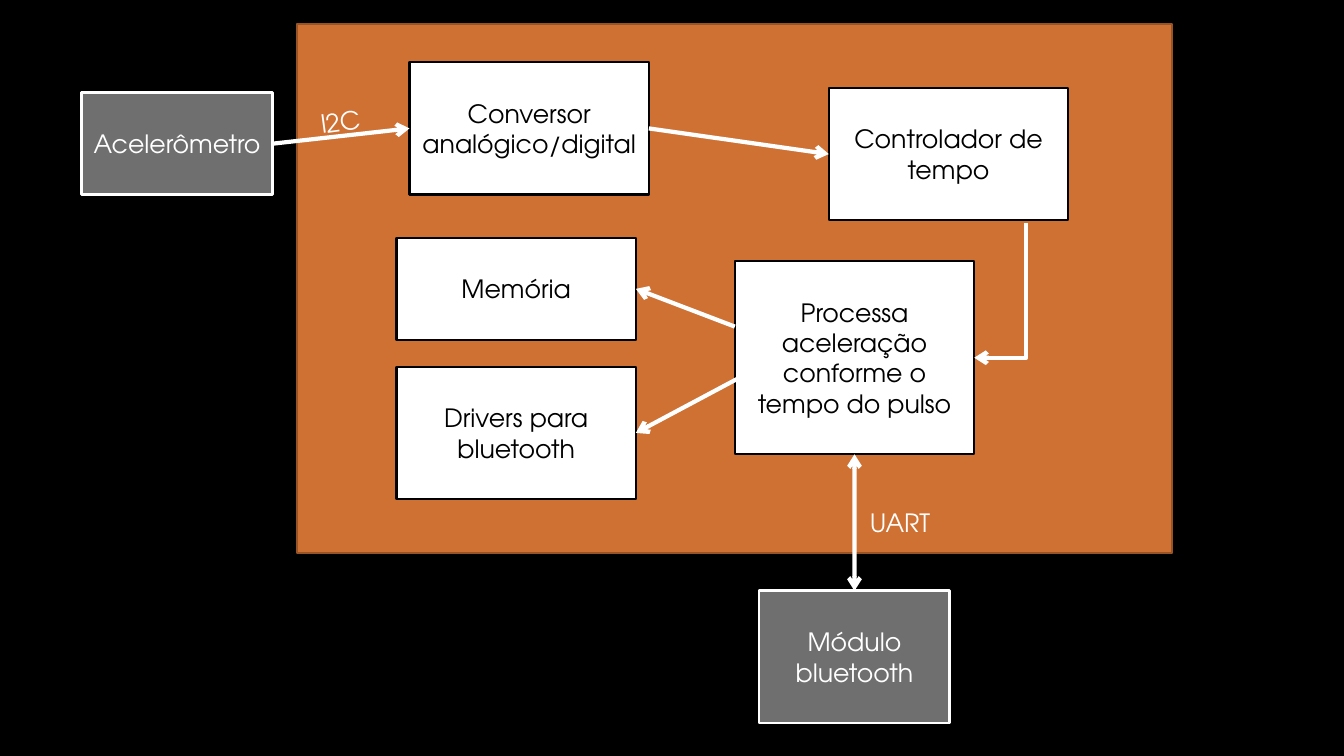
from dataclasses import dataclass

from lxml.etree import SubElement
from pptx import Presentation
from pptx.dml.color import RGBColor
from pptx.enum.shapes import MSO_CONNECTOR, MSO_SHAPE
from pptx.enum.text import MSO_ANCHOR, PP_ALIGN
from pptx.oxml.ns import qn
from pptx.shapes.autoshape import Shape
from pptx.shapes.connector import Connector
from pptx.slide import Slide
from pptx.util import Pt

FONT = "TeX Gyre Adventor"
HEX = {"black": "000000", "white": "FFFFFF", "grey": "6F6F6F", "orange": "CF7133", "brown": "995426"}


@dataclass(frozen=True)
class Style:
    """Fill, outline and text look of a box."""
    fill: str
    line: str
    width: float
    ink: str


@dataclass(frozen=True)
class Box:
    """A rectangle with a centred caption."""
    text: str
    x: float
    y: float
    w: float
    h: float
    style: Style


@dataclass(frozen=True)
class Arrow:
    """A straight arrow; a site of None leaves that end free at its point."""
    start: str
    out: int | None
    end: str
    into: int | None
    at: tuple[float, float] = (0, 0)
    both: bool = False


@dataclass(frozen=True)
class Label:
    """A free caption, turned by some degrees."""
    text: str
    x: float
    y: float
    turn: float = 0


PANEL = Style("orange", "brown", 1.5, "white")
OUTER = Style("grey", "white", 2, "white")
INNER = Style("white", "black", 1.5, "black")

BOXES = {
    "panel": Box("", 212.4, 17.3, 625, 378, PANEL),
    "sensor": Box("Acelerômetro", 58.3, 66.3, 136.3, 72.7, OUTER),
    "module": Box("Módulo bluetooth", 542.2, 422, 136.3, 94.5, OUTER),
    "adc": Box("Conversor analógico/digital", 292.5, 44.5, 171, 94.5, INNER),
    "timer": Box("Controlador de tempo", 592, 62.8, 171, 94.5, INNER),
    "memory": Box("Memória", 283.2, 170, 171, 72.7, INNER),
    "process": Box("Processa aceleração conforme o tempo do pulso", 524.9, 186.5, 171, 138, INNER),
    "drivers": Box("Drivers para bluetooth", 283.2, 262, 171, 94.5, INNER),
}
ARROWS = [
    Arrow("sensor", 3, "adc", 1),
    Arrow("adc", 3, "timer", 1),
    Arrow("process", None, "memory", 3, (524.9, 233.3)),
    Arrow("process", None, "drivers", 3, (527.8, 270)),
    Arrow("process", 2, "module", 0, both=True),
]
LABELS = [Label("I2C", 192.2, 72, -7.8), Label("UART", 591.8, 358.6)]


def tint(name: str) -> RGBColor:
    """Return the named colour."""
    return RGBColor.from_string(HEX[name])


def write(shape: Shape, text: str, ink: str) -> None:
    """Put centred, wrapped text into a shape."""
    frame = shape.text_frame
    frame.word_wrap = True
    frame.vertical_anchor = MSO_ANCHOR.MIDDLE
    frame.text = text
    para = frame.paragraphs[0]
    para.alignment = PP_ALIGN.CENTER
    para.font.name = FONT
    para.font.size = Pt(18)
    para.font.color.rgb = tint(ink)


def draw_box(slide: Slide, box: Box) -> Shape:
    """Draw one box and return its shape."""
    shape = slide.shapes.add_shape(MSO_SHAPE.RECTANGLE, Pt(box.x), Pt(box.y), Pt(box.w), Pt(box.h))
    shape.shadow.inherit = False
    shape.fill.solid()
    shape.fill.fore_color.rgb = tint(box.style.fill)
    shape.line.color.rgb = tint(box.style.line)
    shape.line.width = Pt(box.style.width)
    if box.text:
        write(shape, box.text, box.style.ink)
    return shape


def dress(link: Connector, both: bool = False) -> None:
    """Give a connector its white stroke and open arrowheads."""
    link.line.color.rgb = tint("white")
    link.line.width = Pt(3)
    props = link._element.spPr
    line = props.find(qn("a:ln"))
    for tip in ("a:headEnd", "a:tailEnd") if both else ("a:tailEnd",):
        SubElement(line, qn(tip), type="arrow")
    SubElement(props, qn("a:effectLst"))


def draw_arrow(slide: Slide, arrow: Arrow, shapes: dict[str, Shape]) -> None:
    """Draw a straight arrow between two boxes."""
    x, y = (Pt(n) for n in arrow.at)
    link = slide.shapes.add_connector(MSO_CONNECTOR.STRAIGHT, x, y, x, y)
    if arrow.out is not None:
        link.begin_connect(shapes[arrow.start], arrow.out)
    if arrow.into is not None:
        link.end_connect(shapes[arrow.end], arrow.into)
    dress(link, arrow.both)


def draw_elbow(slide: Slide, x1: float, y1: float, x2: float, y2: float) -> None:
    """Draw an arrow that goes down and then left, as a quarter-turned elbow."""
    midx, midy = (x1 + x2) / 2, (y1 + y2) / 2
    dx, dy = (y2 - y1) / 2, (x1 - x2) / 2
    ends = (Pt(n) for n in (midx - dx, midy - dy, midx + dx, midy + dy))
    link = slide.shapes.add_connector(MSO_CONNECTOR.ELBOW, *ends)
    props = link._element.spPr
    props.find(qn("a:prstGeom")).set("prst", "bentConnector2")
    props.find(qn("a:xfrm")).set("rot", str(90 * 60000))
    dress(link)


def draw_label(slide: Slide, label: Label) -> None:
    """Draw one free caption."""
    shape = slide.shapes.add_textbox(Pt(label.x), Pt(label.y), Pt(102.2), Pt(29))
    shape.rotation = label.turn
    write(shape, label.text, "white")


def main() -> None:
    """Build the block diagram and save it."""
    deck = Presentation()
    deck.slide_width, deck.slide_height = Pt(960), Pt(540)
    slide = deck.slides.add_slide(deck.slide_layouts[6])
    slide.background.fill.solid()
    slide.background.fill.fore_color.rgb = tint("black")
    shapes = {name: draw_box(slide, box) for name, box in BOXES.items()}
    for arrow in ARROWS:
        draw_arrow(slide, arrow, shapes)
    draw_elbow(slide, 733, 159.1, 695.9, 255.5)
    for label in LABELS:
        draw_label(slide, label)
    deck.save("out.pptx")


if __name__ == "__main__":
    main()
